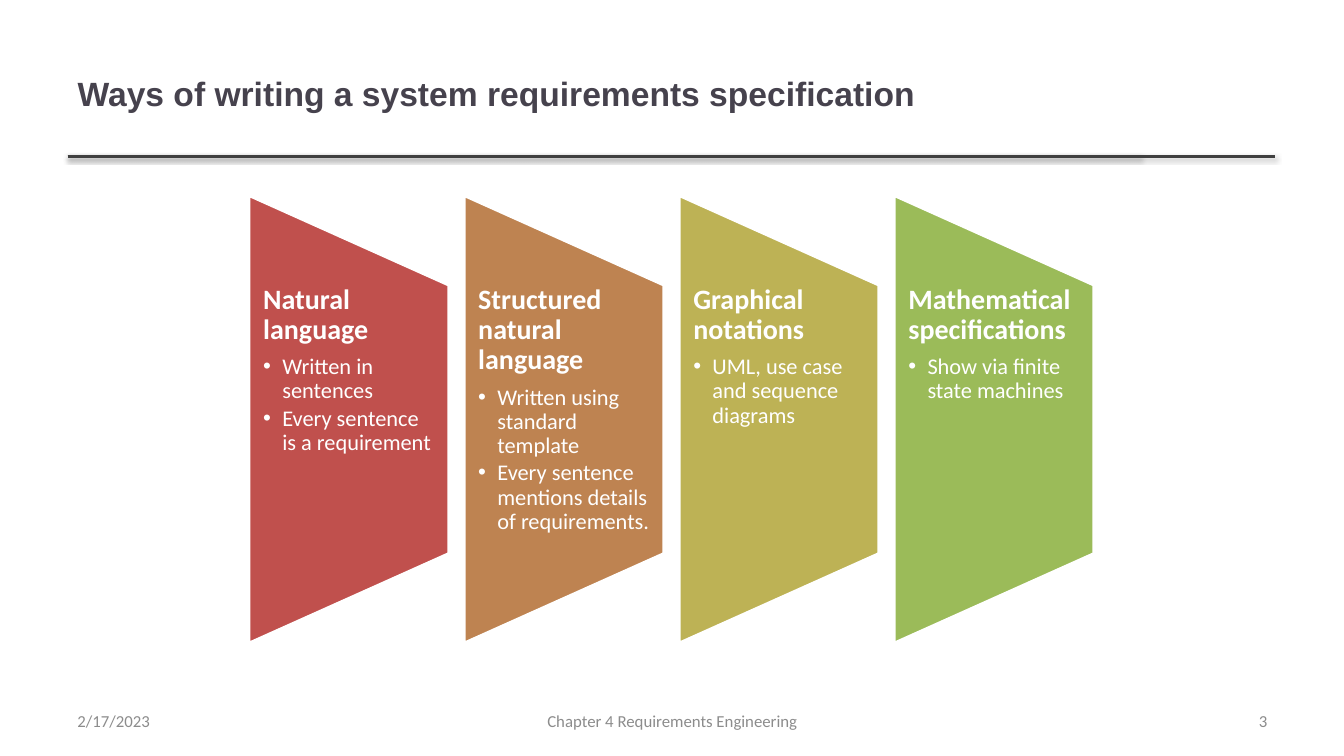
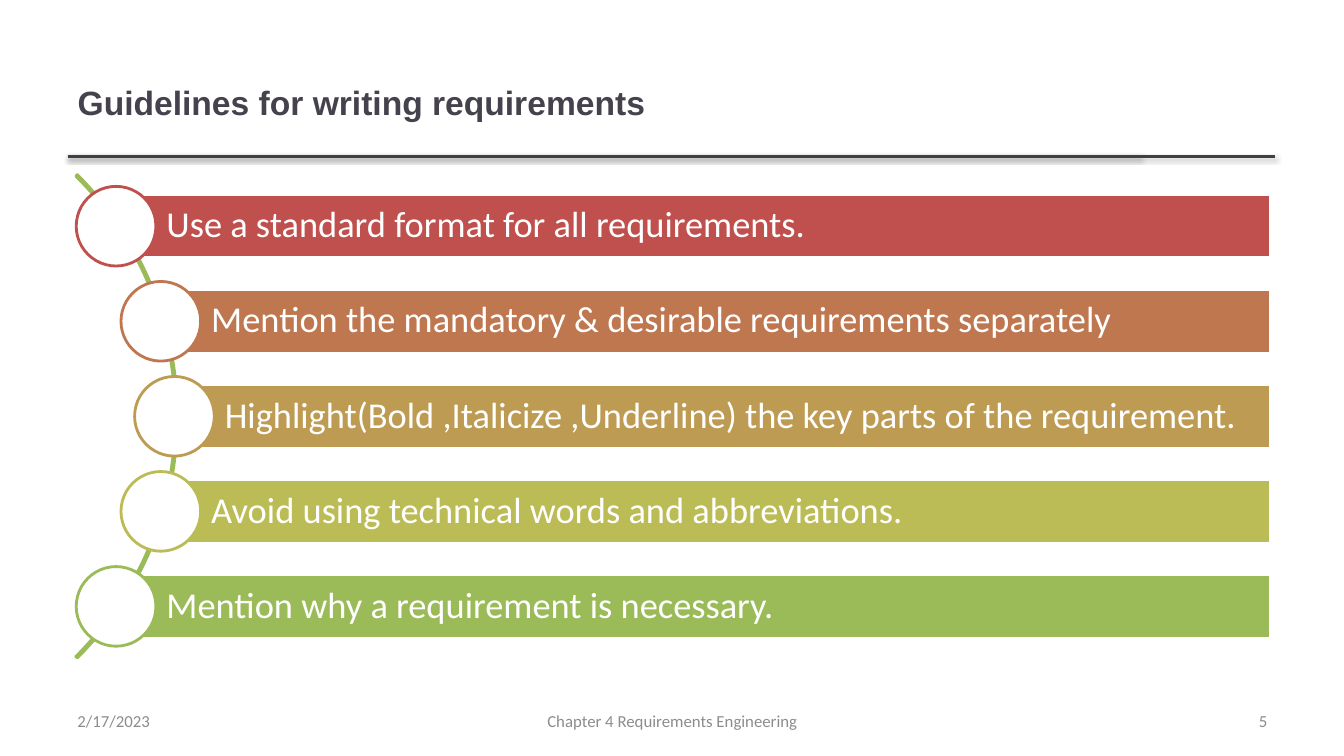
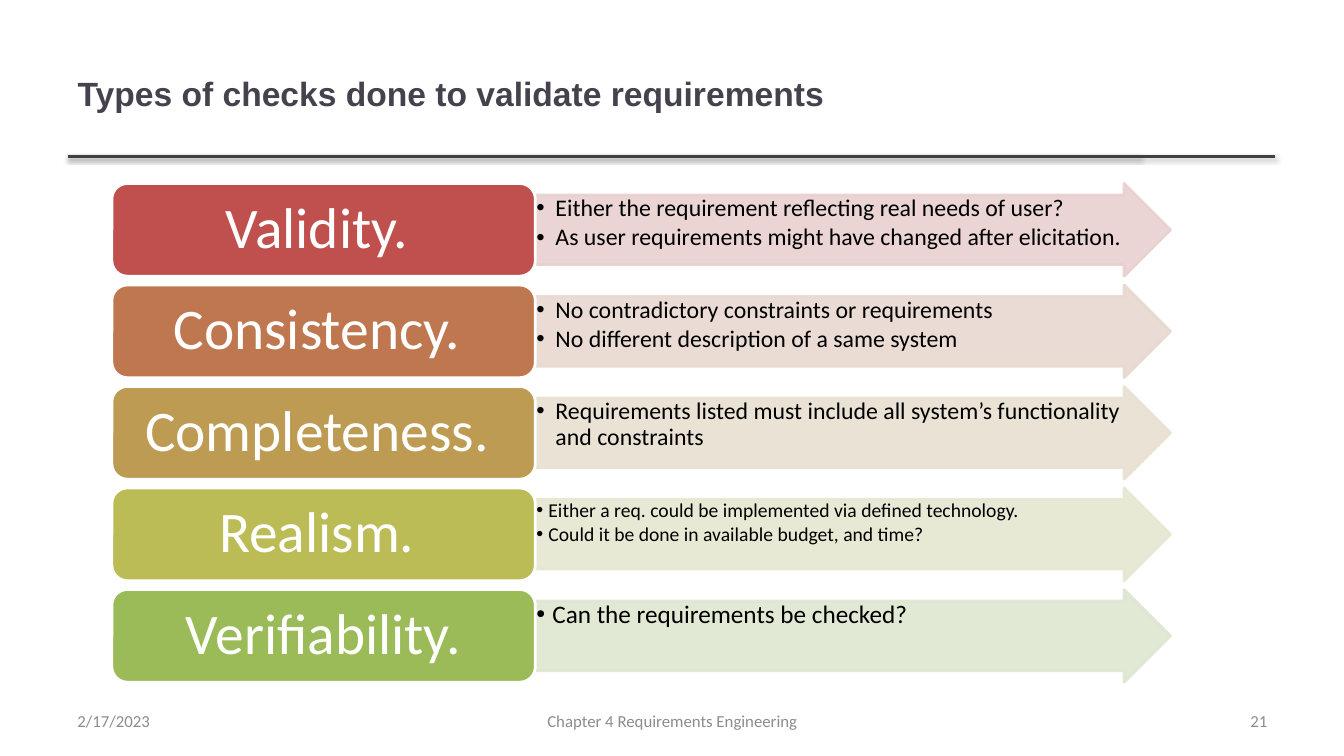
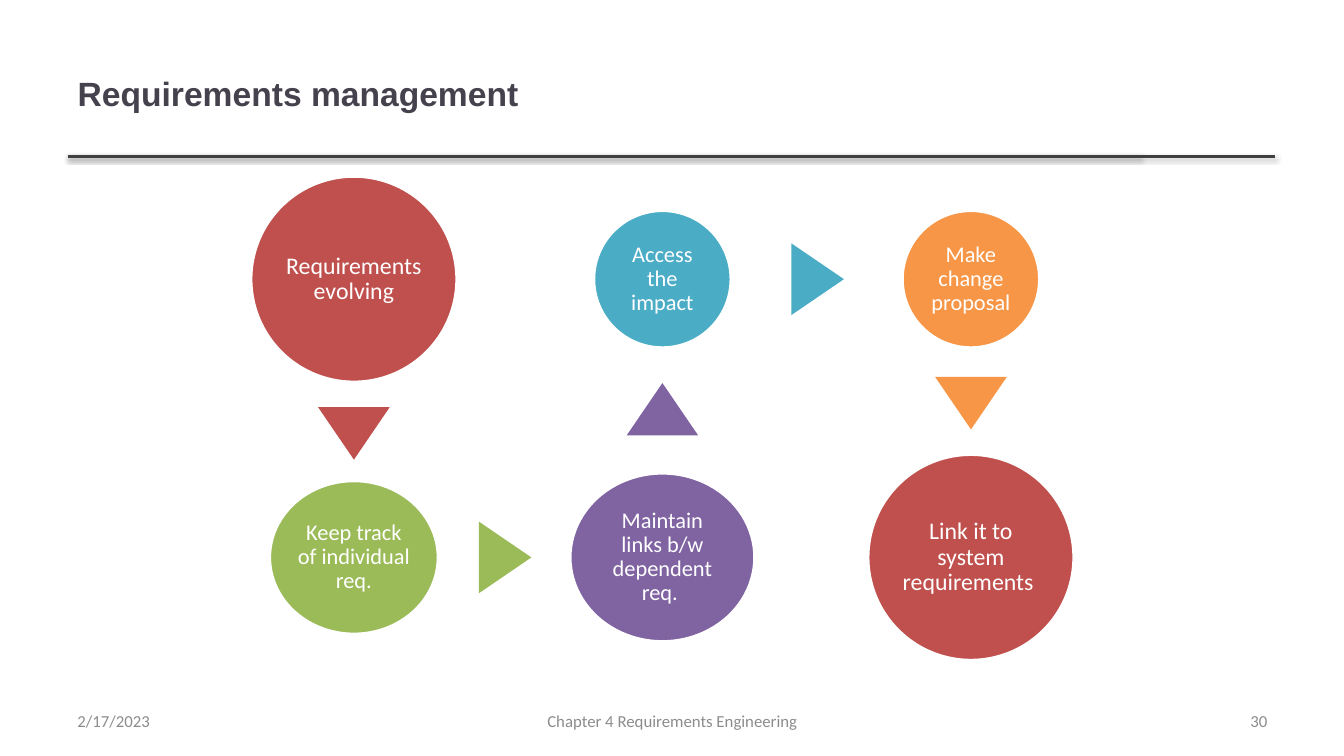
"""Build four slides on requirements engineering."""
import math

import pptx
import pptx.util
import pptx.dml.color
import pptx.enum.shapes
import pptx.enum.text
import pptx.oxml
import pptx.oxml.ns
from lxml import etree

Inches = pptx.util.Inches
Pt = pptx.util.Pt
KIND = pptx.enum.shapes.MSO_SHAPE
ALIGN = pptx.enum.text.PP_ALIGN
ANCHOR = pptx.enum.text.MSO_ANCHOR
NS = pptx.oxml.ns.qn

HUES = {
    "ink": "46424D", "rule": "404040", "foot": "8C8C8C",
    "white": "FFFFFF", "black": "000000",
    "red": "C0504D", "rust": "BF7750", "tan": "BD9B53",
    "lime": "BCBC56", "green": "9BBB59", "brown": "BE8351",
    "sand": "BDB255", "plum": "8064A2", "teal": "4BACC6",
    "orange": "F79646",
    "pale red": "E8D0D0", "pale rust": "E8D9D0", "pale tan": "E8E1D1",
    "pale lime": "E6E7D1", "pale green": "DEE7D1",
}
RAMP = ["red", "rust", "tan", "lime", "green"]
SHADE = (
    '<a:effectLst xmlns:a="http://schemas.openxmlformats.org/drawingml/2006/main">'
    '<a:outerShdw blurRad="39370" dist="20320" dir="5400000" rotWithShape="0">'
    '<a:srgbClr val="000000"><a:alpha val="38000"/></a:srgbClr>'
    '</a:outerShdw></a:effectLst>'
)


def hue(name):
    return pptx.dml.color.RGBColor.from_string(HUES[name])


def write(frame, lines, size=16, color="white", font="Calibri", bold=False,
          align=ALIGN.LEFT, anchor=ANCHOR.MIDDLE, inset=(0.1, 0.05, 0.1, 0.05),
          indent=0, space=0.9, after=0, more=False):
    frame.word_wrap = True
    frame.auto_size = pptx.enum.text.MSO_AUTO_SIZE.NONE
    frame.vertical_anchor = anchor
    (frame.margin_left, frame.margin_top,
     frame.margin_right, frame.margin_bottom) = map(Inches, inset)
    for i, line in enumerate(lines):
        para = frame.add_paragraph() if more or i else frame.paragraphs[0]
        if indent:
            props = para._p.get_or_add_pPr()
            props.set("marL", str(Inches(indent)))
            props.set("indent", str(-Inches(indent)))
            etree.SubElement(props, NS("a:buFont")).set("typeface", "Arial")
            etree.SubElement(props, NS("a:buChar")).set("char", "•")
        para.alignment = align
        para.line_spacing = space
        para.space_before = Pt(0)
        para.space_after = Pt(after)
        run = para.add_run()
        run.text = line
        run.font.size = Pt(size)
        run.font.name = font
        run.font.bold = bold
        run.font.color.rgb = hue(color)


class Deck:
    def __init__(self):
        self.show = pptx.Presentation()
        self.show.slide_width = Inches(13.33)
        self.show.slide_height = Inches(7.5)
        self.slide = None

    def page(self, title, number, place=(0.67, 0.3, 10.63, 1.25)):
        self.slide = self.show.slides.add_slide(self.show.slide_layouts[5])
        for end in (11.32, 12.65):
            self.rule(0.67, end, 1.55)
        head = self.slide.shapes.title
        head.left, head.top, head.width, head.height = map(Inches, place)
        write(head.text_frame, [title], size=24, color="ink", font="Arial",
              bold=True, space=1)
        for left, width, text, align in (
                (0.67, 3.11, "2/17/2023", ALIGN.LEFT),
                (4.56, 4.22, "Chapter 4 Requirements Engineering", ALIGN.CENTER),
                (9.56, 3.11, str(number), ALIGN.RIGHT)):
            self.text(left, 6.95, width, 0.4, [text], size=12, color="foot",
                      align=align, space=1)

    def rule(self, start, end, top):
        line = self.slide.shapes.add_connector(
            pptx.enum.shapes.MSO_CONNECTOR.STRAIGHT,
            Inches(start), Inches(top), Inches(end), Inches(top))
        line.line.color.rgb = hue("rule")
        line.line.width = Pt(2)
        line._element.spPr.append(pptx.oxml.parse_xml(SHADE))

    def text(self, left, top, width, height, lines, **style):
        box = self.slide.shapes.add_textbox(
            Inches(left), Inches(top), Inches(width), Inches(height))
        write(box.text_frame, lines, **style)
        return box

    def shape(self, kind, left, top, width, height, fill=None, line="white",
              turn=0, adjust=(), alpha=None):
        item = self.slide.shapes.add_shape(
            kind, Inches(left), Inches(top), Inches(width), Inches(height))
        item.shadow.inherit = False
        item.rotation = turn
        for i, value in enumerate(adjust):
            item.adjustments[i] = value
        if fill:
            item.fill.solid()
            item.fill.fore_color.rgb = hue(fill)
        else:
            item.fill.background()
        if line:
            item.line.color.rgb = hue(line)
            item.line.width = Pt(2)
        else:
            item.line.fill.background()
        if alpha:
            for tint in item._element.spPr.iter(NS("a:srgbClr")):
                etree.SubElement(tint, NS("a:alpha")).set("val", str(alpha * 1000))
        return item

    def round(self, x, y, width, height, **style):
        return self.shape(KIND.OVAL, x - width / 2, y - height / 2,
                          width, height, **style)


def ways(deck):
    deck.page("Ways of writing a system requirements specification", 3)
    panels = [
        ("red", "Natural language",
         ["Written in sentences", "Every sentence is a requirement"]),
        ("brown", "Structured natural language",
         ["Written using standard template",
          "Every sentence mentions details of requirements."]),
        ("sand", "Graphical notations", ["UML, use case and sequence diagrams"]),
        ("green", "Mathematical specifications",
         ["Show via finite state machines"]),
    ]
    style = {"anchor": ANCHOR.TOP, "inset": (0.14, 0, 0.14, 0)}
    for i, (color, head, points) in enumerate(panels):
        left = 2.47 + 2.133 * i
        deck.shape(KIND.FLOWCHART_MANUAL_OPERATION, left - 1.23, 3.17, 4.44, 1.98,
                   fill=color, turn=270)
        box = deck.text(left, 2.83, 1.98, 2.67, [head], size=20, bold=True,
                        after=7, **style)
        write(box.text_frame, points, indent=0.19, after=2.4, more=True, **style)


def guides(deck):
    deck.page("Guidelines for writing requirements", 5, (0.67, 0.41, 9, 1.21))
    deck.shape(KIND.BLOCK_ARC, -5.02, 0.74, 6.78, 6.78, line="green",
               adjust=(189, 27, 0.003))
    rows = [
        "Use a standard format for all requirements.",
        "Mention the mandatory & desirable requirements separately",
        "Highlight(Bold ,Italicize ,Underline) the key parts of the requirement.",
        "Avoid using technical words and abbreviations.",
        "Mention why a requirement is necessary.",
    ]
    for i, (color, row) in enumerate(zip(RAMP, rows)):
        drop = 0.943 * (i - 2)
        x, y = math.sqrt(3.36 ** 2 - drop ** 2) - 1.63, 4.13 + drop
        bar = deck.shape(KIND.RECTANGLE, x, y - 0.315, 12.6 - x, 0.63, fill=color)
        write(bar.text_frame, [row], size=26, inset=(0.5, 0.07, 0.07, 0.07))
        deck.round(x, y, 0.79, 0.79, fill="white", line=color)


def checks(deck):
    deck.page("Types of checks done to validate requirements", 21)
    rows = [
        ("Validity. ", 17, 0.19,
         ["Either the requirement reflecting real needs of user?",
          "As user requirements might have changed after elicitation."]),
        ("Consistency. ", 17, 0.19,
         ["No contradictory constraints or requirements",
          "No different description of a same system"]),
        ("Completeness. ", 17, 0.19,
         ["Requirements listed must include all system’s functionality "
          "and constraints"]),
        ("Realism. ", 14, 0.12,
         ["Either a req. could be implemented via defined technology.",
          "Could it be done in available budget, and time?"]),
        ("Verifiability.", 18, 0.16, ["Can the requirements be checked?"]),
    ]
    for i, (color, (name, size, indent, points)) in enumerate(zip(RAMP, rows)):
        top = 1.82 + 1.007 * i
        pale = "pale " + color
        arrow = deck.shape(KIND.RIGHT_ARROW, 5.31, top, 6.3, 0.92, fill=pale,
                           line=pale, adjust=(0.75, 0.5), alpha=90)
        write(arrow.text_frame, points, size=size, color="black", indent=indent,
              anchor=ANCHOR.TOP, inset=(0.01,) * 4, after=size * 0.15)
        label = deck.shape(KIND.ROUNDED_RECTANGLE, 1.11, top, 4.2, 0.92, fill=color)
        write(label.text_frame, [name], size=41, align=ALIGN.CENTER,
              inset=(0.17, 0.09, 0.17, 0.09))


def manage(deck):
    deck.page("Requirements management", 30)
    cols, rows = (3.51, 6.57, 9.63), (2.77, 5.53)
    steps = [
        (0, 0, 2.04, 2.04, "red", 17, "Requirements evolving"),
        (0, 1, 1.67, 1.52, "green", 16, "Keep track of individual req."),
        (1, 1, 1.83, 1.67, "plum", 16, "Maintain links b/w dependent req. "),
        (1, 0, 1.36, 1.36, "teal", 16, "Access the impact"),
        (2, 0, 1.36, 1.36, "orange", 16, "Make change proposal"),
        (2, 1, 2.04, 2.04, "red", 17, "Link it to system requirements "),
    ]
    for col, row, width, height, color, size, text in steps:
        node = deck.round(cols[col], rows[row], width, height, fill=color)
        write(node.text_frame, [text], size=size, align=ALIGN.CENTER,
              inset=(0.02,) * 4)
    marks = [
        (cols[0], 4.3, 180, "red"), (5.01, rows[1], 90, "green"),
        (cols[1], 4.06, 0, "plum"), (8.11, rows[0], 90, "teal"),
        (cols[2], 4, 180, "orange"),
    ]
    for x, y, turn, color in marks:
        deck.shape(KIND.ISOSCELES_TRIANGLE, x - 0.355, y - 0.26, 0.71, 0.52,
                   fill=color, line=None, turn=turn)


def main():
    deck = Deck()
    for build in (ways, guides, checks, manage):
        build(deck)
    deck.show.save("out.pptx")


if __name__ == "__main__":
    main()
